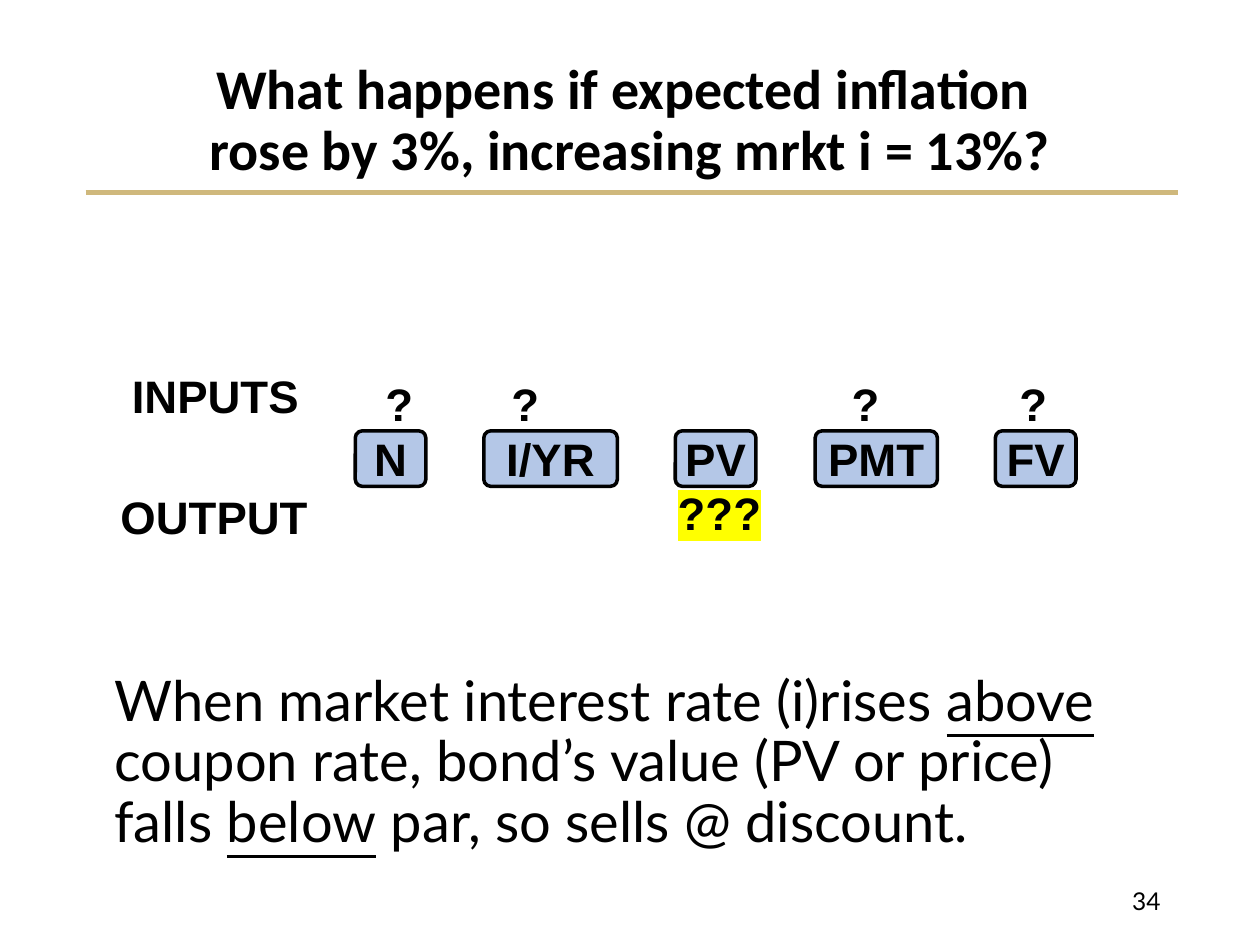
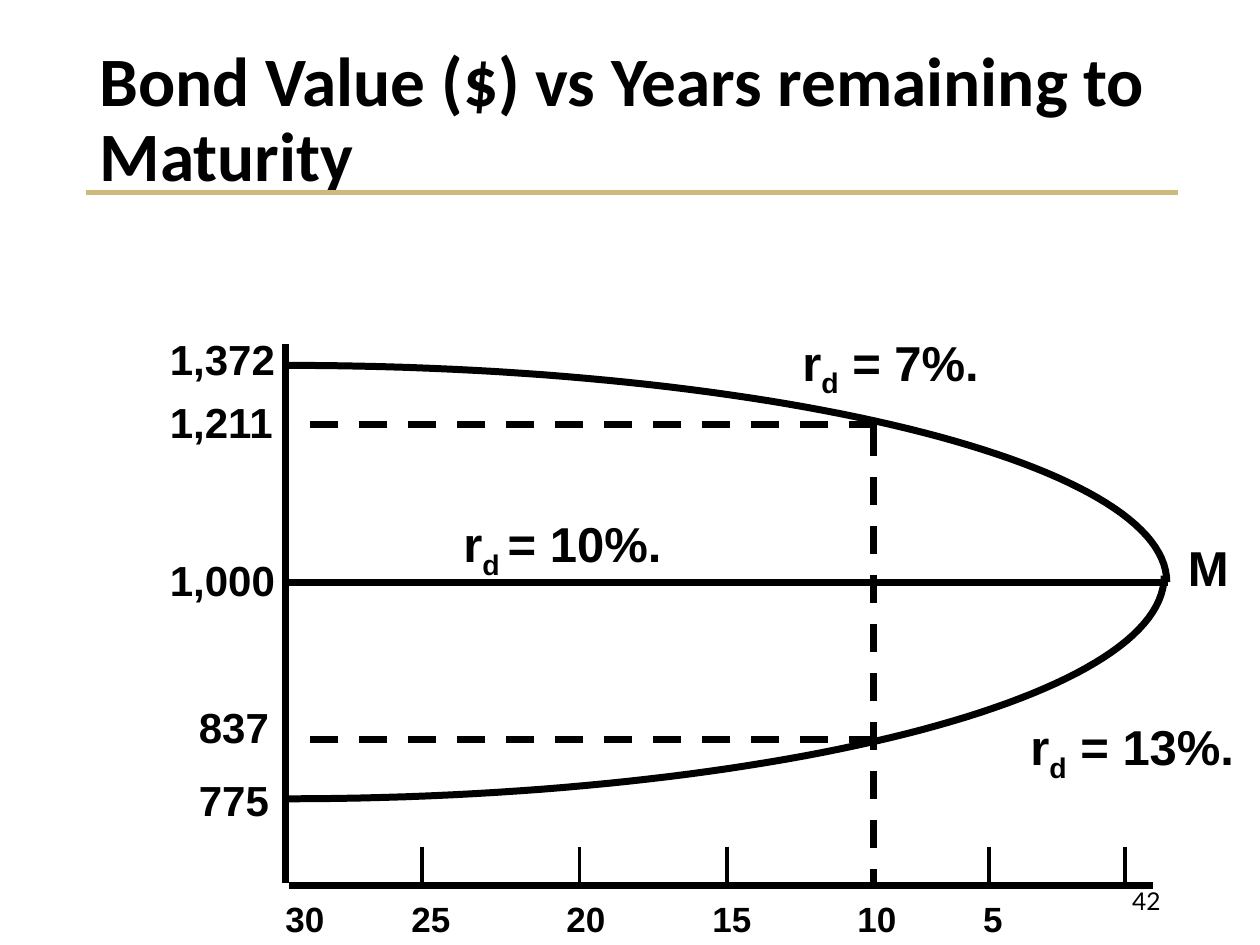
from lxml.etree import SubElement
from pptx import Presentation
from pptx.dml.color import RGBColor
from pptx.enum.dml import MSO_LINE
from pptx.enum.shapes import MSO_CONNECTOR, MSO_SHAPE
from pptx.enum.text import MSO_ANCHOR, MSO_AUTO_SIZE, PP_ALIGN
from pptx.oxml.ns import qn
from pptx.util import Pt

EMU_PER_PX = 9144
BLACK = RGBColor(0x00, 0x00, 0x00)
GOLD = RGBColor(0xCF, 0xB8, 0x7C)
KEY_BLUE = RGBColor(0xB4, 0xC7, 0xE7)
YELLOW = RGBColor(0xFF, 0xFF, 0x00)

TITLE = {"name": "Calibri", "bold": True}
BODY = {"name": "Lato", "size": Pt(32)}
PAGE = {"name": "Lato", "size": Pt(14)}
LABEL = {"name": "Arial", "bold": True}
UNDERLINED = {"underline": True}
SUBSCRIPT = {"baseline": -25000}
HIGHLIGHTED = {"highlight": YELLOW}


def px(*lengths):
    return [round(n * EMU_PER_PX) for n in lengths]


def add_runs(p, runs, style):
    for text, extra in runs:
        r = p.add_run()
        r.text = text
        r.font.color.rgb = BLACK
        rPr = r.font._element
        for name, value in {**style, **extra}.items():
            if name == "baseline":
                rPr.set("baseline", str(value))
            elif name == "highlight":
                mark = SubElement(rPr, qn("a:highlight"))
                SubElement(mark, qn("a:srgbClr")).set("val", str(value))
                rPr.find(qn("a:solidFill")).addnext(mark)
            else:
                setattr(r.font, name, value)


def format_frame(tf, **values):
    for name, value in values.items():
        setattr(tf, name, value)


def add_text(s, runs, box, style, align=PP_ALIGN.LEFT, anchor=MSO_ANCHOR.TOP,
             wrap=False, spacing=1.0):
    tf = s.shapes.add_textbox(*px(*box)).text_frame
    format_frame(tf, word_wrap=wrap, vertical_anchor=anchor)
    p = tf.paragraphs[0]
    p.alignment, p.line_spacing = align, spacing
    add_runs(p, [(runs, {})] if isinstance(runs, str) else runs, style)


def add_centred(s, runs, cx, cy, size, w=190, h=60):
    add_text(s, runs, (cx - w / 2, cy - h / 2, w, h), {**LABEL, "size": Pt(size)},
             PP_ALIGN.CENTER, MSO_ANCHOR.MIDDLE)


def add_line(s, x1, y1, x2, y2, width=4, color=BLACK, dash=None):
    c = s.shapes.add_connector(MSO_CONNECTOR.STRAIGHT, *px(x1, y1, x2, y2))
    c.line.color.rgb = color
    c.line.width = Pt(width)
    if dash:
        c.line.dash_style = dash
    SubElement(c._element.spPr, qn("a:effectLst"))


def add_curve(s, *controls, steps=60):
    def point(t):
        weights = ((1 - t) ** 3, 3 * t * (1 - t) ** 2, 3 * t * t * (1 - t), t ** 3)
        return px(*(sum(w * c for w, c in zip(weights, axis)) for axis in zip(*controls)))

    points = [point(i / steps) for i in range(steps + 1)]
    fb = s.shapes.build_freeform(*points[0], scale=1.0)
    fb.add_line_segments(points[1:], close=False)
    sp = fb.convert_to_shape()
    sp.shadow.inherit = False
    sp.fill.background()
    sp.line.color.rgb = BLACK
    sp.line.width = Pt(4)


def add_key(s, text, x, w):
    sp = s.shapes.add_shape(MSO_SHAPE.ROUNDED_RECTANGLE, *px(x, 342, w, 44))
    sp.adjustments[0] = 0.125
    sp.shadow.inherit = False
    sp.fill.solid()
    sp.fill.fore_color.rgb = KEY_BLUE
    sp.line.color.rgb = BLACK
    sp.line.width = Pt(2)
    tf = sp.text_frame
    format_frame(tf, word_wrap=False, vertical_anchor=MSO_ANCHOR.MIDDLE,
                 margin_left=0, margin_right=0, margin_top=0, margin_bottom=0)
    p = tf.paragraphs[0]
    p.alignment = PP_ALIGN.CENTER
    add_runs(p, [(text, {})], {**LABEL, "size": Pt(26)})


def add_slide(prs, title, size, align, page):
    s = prs.slides.add_slide(prs.slide_layouts[5])
    sp = s.shapes.title
    sp.left, sp.top, sp.width, sp.height = px(69, 40, 862, 113)
    tf = sp.text_frame
    format_frame(tf, word_wrap=True, auto_size=MSO_AUTO_SIZE.NONE,
                 vertical_anchor=MSO_ANCHOR.MIDDLE)
    p = tf.paragraphs[0]
    p.alignment, p.line_spacing = align, 0.9
    for i, line in enumerate(title.split("\n")):
        if i:
            p.add_line_break()
        add_runs(p, [(line, {})], {**TITLE, "size": Pt(size)})
    add_line(s, 68, 153, 935, 153, 3, GOLD)
    add_text(s, page, (706, 695, 225, 40), PAGE, PP_ALIGN.RIGHT, MSO_ANCHOR.MIDDLE, True)
    return s


def build_inflation(prs):
    s = add_slide(prs, "What happens if expected inflation \n"
                  "rose by 3%, increasing mrkt i = 13%?", 32, PP_ALIGN.CENTER, "34")
    add_text(s, [("When market interest rate (i)rises ", {}), ("above", UNDERLINED),
                 (" coupon rate, bond’s value (PV or price) falls ", {}),
                 ("below", UNDERLINED), (" par, so sells @ discount.", {})],
             (81, 529, 845, 155), BODY, wrap=True, spacing=0.9)
    for text, x, w in (("N", 282, 56), ("I/YR", 384, 106), ("PV", 536, 64),
                       ("PMT", 647, 97), ("FV", 790, 64)):
        add_key(s, text, x, w)
    for cx in (317, 417, 687, 820):
        add_centred(s, "?", cx, 320, 26)
    add_centred(s, [("???", HIGHLIGHTED)], 571, 407, 26)
    add_centred(s, "INPUTS", 171, 314, 26)
    add_centred(s, "OUTPUT", 170, 410, 26)


def build_bond_value(prs):
    s = add_slide(prs, "Bond Value ($) vs Years remaining to Maturity",
                  39.6, PP_ALIGN.LEFT, "42")
    add_line(s, 227, 273, 227, 701)
    add_line(s, 229, 703, 915, 703)
    add_line(s, 229, 462, 927, 462)
    add_curve(s, (227, 290), (613, 290), (926, 367), (926, 462))
    add_curve(s, (924, 457), (924, 555), (612, 634), (227, 634))
    add_line(s, 693, 340, 693, 701, dash=MSO_LINE.DASH)
    for y in (337, 587):
        add_line(s, 696, y, 224, y, dash=MSO_LINE.DASH)
    for x in (335, 460, 577, 785, 893):
        add_line(s, x, 672, x, 702, 2)
    for text, x, y in (("1,372", 125, 260), ("1,211", 125, 310), ("1,000", 125, 435),
                       ("837", 148, 552), ("775", 148, 610)):
        add_text(s, text, (x, y, 120, 50), {**LABEL, "size": Pt(24)})
    for years, cx in ((30, 242), (25, 342), (20, 465), (15, 581), (10, 696), (5, 788)):
        add_centred(s, str(years), cx, 729, 20, 70, 42)
    curve_label = {**LABEL, "size": Pt(28)}
    add_text(s, "M", (933, 422, 60, 56), curve_label)
    for sub, rate, x, y in (("d", " = 7%.", 627, 259), ("d", " = 13%.", 808, 564),
                            ("d ", "= 10%.", 358, 403)):
        add_text(s, [("r", {}), (sub, SUBSCRIPT), (rate, {})], (x, y, 190, 56), curve_label)


def main():
    prs = Presentation()
    prs.slide_width, prs.slide_height = px(1000, 750)
    build_inflation(prs)
    build_bond_value(prs)
    prs.save("out.pptx")


if __name__ == "__main__":
    main()
